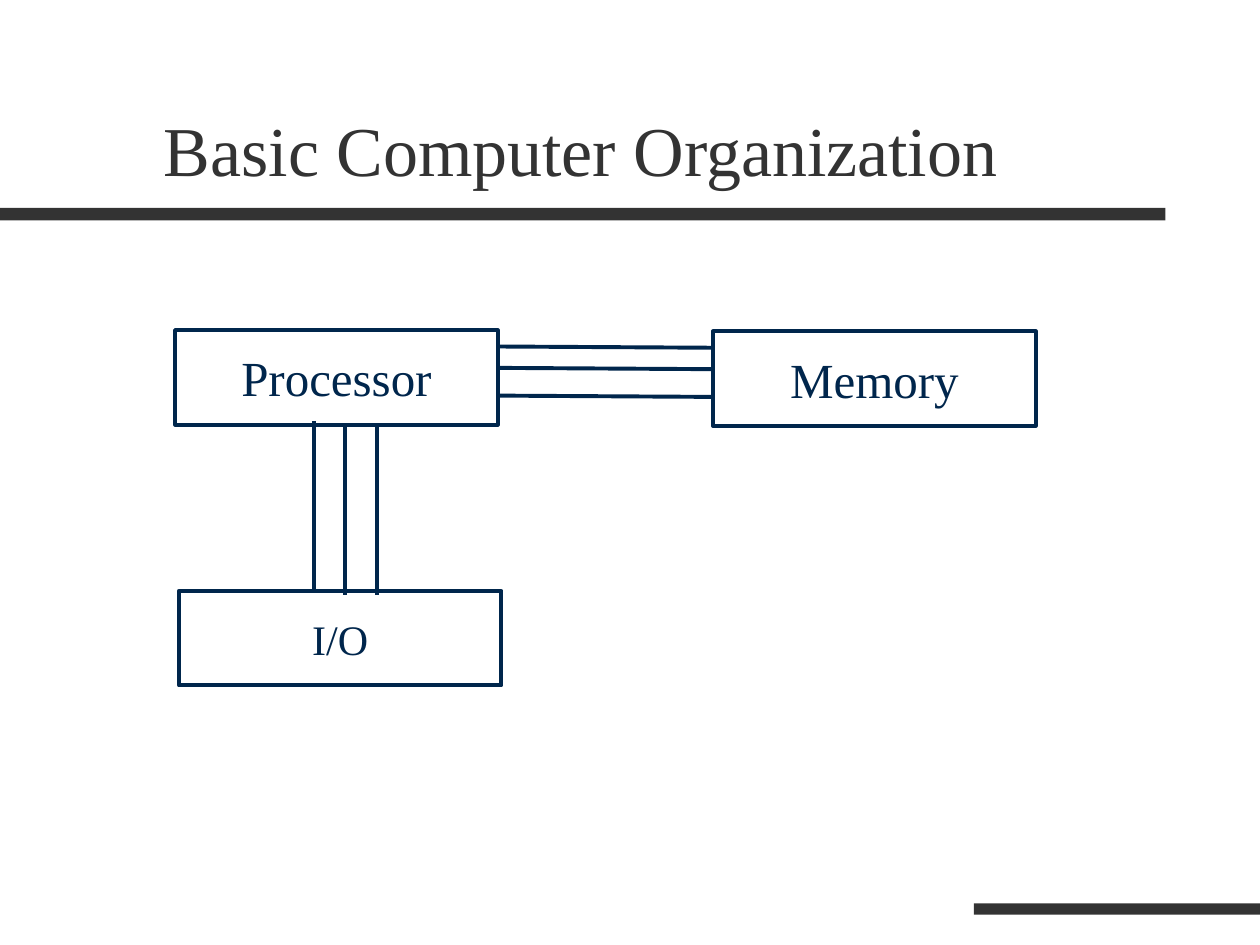
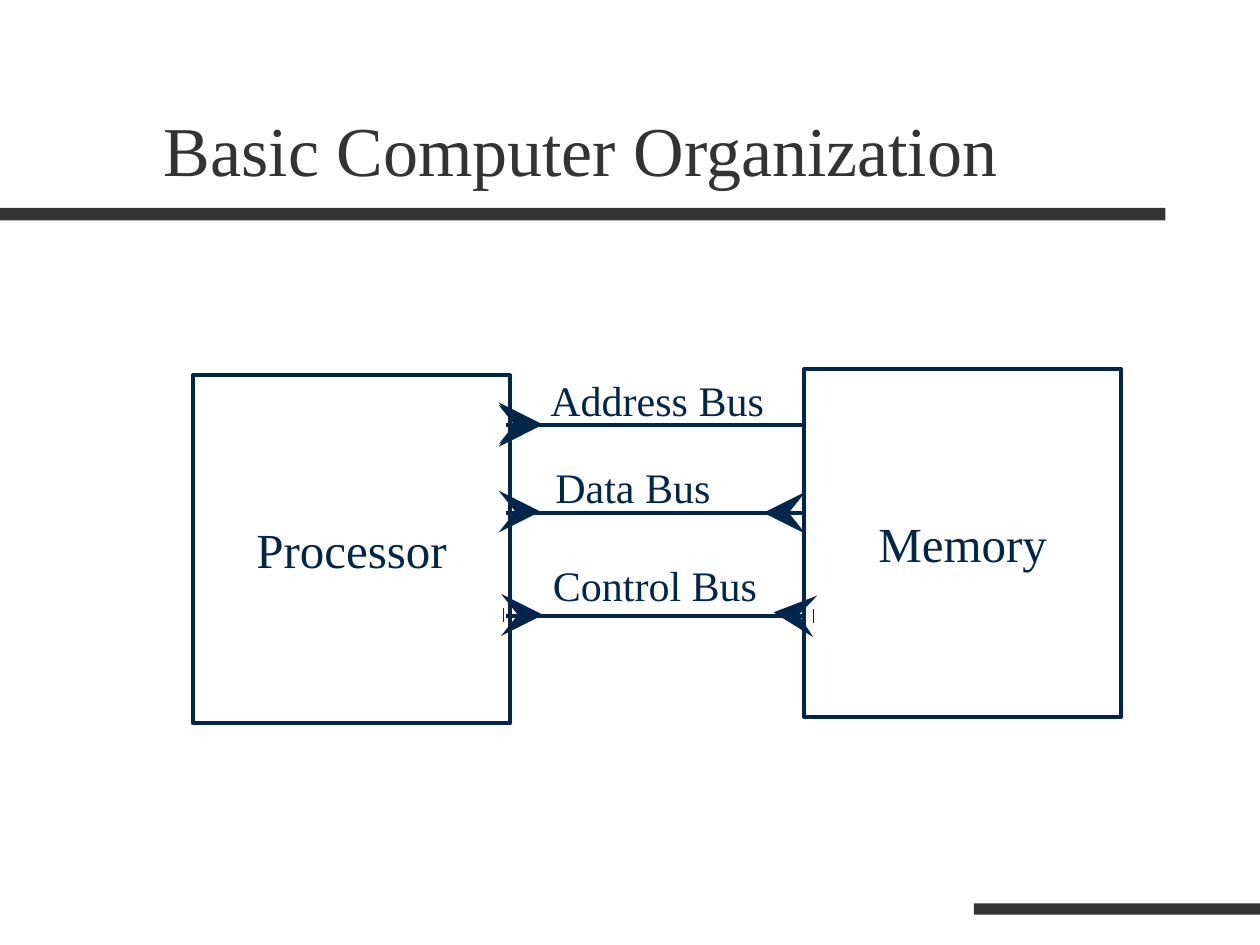
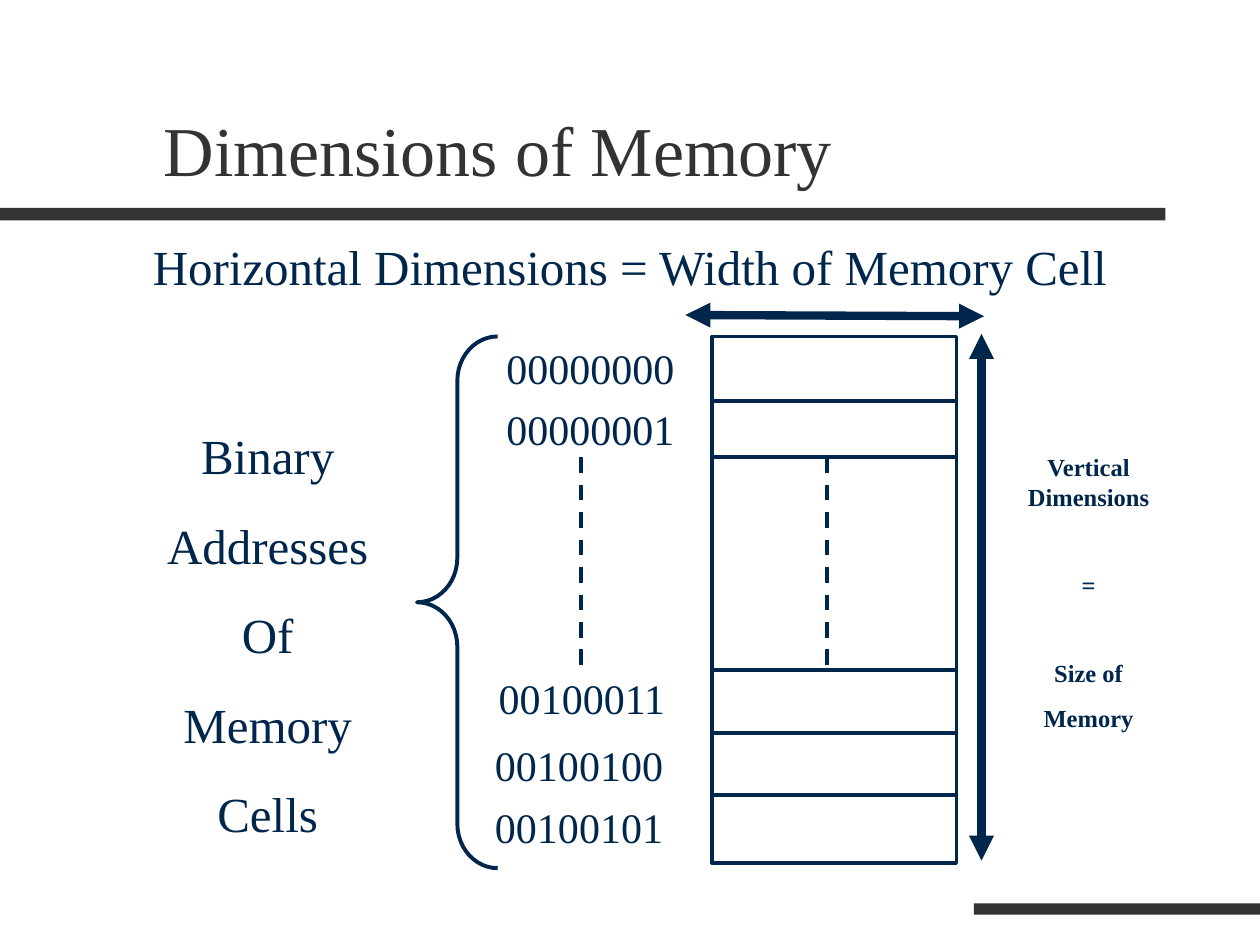
import lxml.etree
import pptx
import pptx.dml.color
import pptx.enum.dml
import pptx.enum.shapes
import pptx.enum.text
import pptx.oxml.ns
import pptx.util

Inches = pptx.util.Inches
Pt = pptx.util.Pt
RGBColor = pptx.dml.color.RGBColor
SHAPE = pptx.enum.shapes.MSO_SHAPE
ALIGN = pptx.enum.text.PP_ALIGN
ANCHOR = pptx.enum.text.MSO_ANCHOR
qn = pptx.oxml.ns.qn

NAVY = RGBColor(0x00, 0x26, 0x4C)
CHARCOAL = RGBColor(0x33, 0x33, 0x33)
FONT = "Times New Roman"
LINE_WIDTH = 2.25
BANDS = [(0, 1.65, 9.25, 0.1), (7.73, 7.17, 2.27, 0.09)]


def format_paragraph(p, size, color=NAVY, align=ALIGN.LEFT, bold=False):
    p.alignment = align
    for r in p.runs:
        r.font.name = FONT
        r.font.size = Pt(size)
        r.font.bold = bold
        r.font.color.rgb = color


def add_preset(s, shape_type, x, y, w, h, fill=None, width=LINE_WIDTH):
    sp = s.shapes.add_shape(shape_type, Inches(x), Inches(y), Inches(w), Inches(h))
    sp.shadow.inherit = False
    if fill is None:
        sp.fill.background()
        sp.line.color.rgb = NAVY
        sp.line.width = Pt(width)
    else:
        sp.fill.solid()
        sp.fill.fore_color.rgb = fill
        sp.line.fill.background()
    return sp


def add_unit(s, text, x, y, w, h, size=28):
    sp = add_preset(s, SHAPE.RECTANGLE, x, y, w, h)
    tf = sp.text_frame
    tf.text = text
    tf.word_wrap = False
    tf.vertical_anchor = ANCHOR.MIDDLE
    format_paragraph(tf.paragraphs[0], size, align=ALIGN.CENTER)


def add_text(s, lines, x, y, w, h, size=24, align=ALIGN.LEFT, bold=False, before=0):
    tf = s.shapes.add_textbox(Inches(x), Inches(y), Inches(w), Inches(h)).text_frame
    tf.word_wrap = True
    tf.text = "\n".join(lines)
    for p in tf.paragraphs:
        format_paragraph(p, size, align=align, bold=bold)
    for p in tf.paragraphs[1:]:
        p.space_before = Pt(before)
    return tf


def add_line(s, x1, y1, x2, y2, width=LINE_WIDTH, dashed=False, head=None, tail=None):
    cn = s.shapes.add_connector(
        pptx.enum.shapes.MSO_CONNECTOR.STRAIGHT,
        Inches(x1), Inches(y1), Inches(x2), Inches(y2))
    cn.line.color.rgb = NAVY
    cn.line.width = Pt(width)
    if dashed:
        cn.line.dash_style = pptx.enum.dml.MSO_LINE.DASH
    spPr = cn.element.spPr
    ln = spPr.find(qn("a:ln"))
    for tag, kind in (("a:headEnd", head), ("a:tailEnd", tail)):
        if kind:
            lxml.etree.SubElement(ln, qn(tag), type=kind)
    lxml.etree.SubElement(spPr, qn("a:effectLst"))


def add_double_arrow(s, x1, y1, x2, y2):
    add_line(s, x1, y1, x2, y2, width=4.75, head="triangle", tail="triangle")


def add_slide(prs, title):
    s = prs.slides.add_slide(prs.slide_layouts[5])
    for band in BANDS:
        add_preset(s, SHAPE.RECTANGLE, *band, fill=CHARCOAL)
    sp = s.shapes.title
    sp.left, sp.top = Inches(1.2), Inches(0.31)
    sp.width, sp.height = Inches(8.5), Inches(1.25)
    tf = sp.text_frame
    tf.text = title
    tf.vertical_anchor = ANCHOR.BOTTOM
    format_paragraph(tf.paragraphs[0], 40, color=CHARCOAL)
    return s


def build_organization(prs):
    s = add_slide(prs, "Basic Computer Organization")
    w, h = 2.56, 0.75
    add_unit(s, "Processor", 1.39, 2.62, w, h)
    add_unit(s, "I/O", 1.42, 4.69, w, h, size=24)
    add_unit(s, "Memory", 5.66, 2.63, w, h)
    for y in (2.76, 2.93, 3.15):
        add_line(s, 5.65, y, 3.96, y - 0.01)
    for x, top, bottom in ((2.49, 3.34, 4.69), (2.74, 3.36, 4.72), (2.99, 3.37, 4.72)):
        add_line(s, x, top, x, bottom)


def build_buses(prs):
    s = add_slide(prs, "Basic Computer Organization")
    w, h = 2.52, 2.76
    add_unit(s, "Memory", 6.38, 2.93, w, h)
    add_unit(s, "Processor", 1.53, 2.98, w, h)
    buses = [("Address Bus", 4.27, 2.92, 3.37),
             ("Data Bus", 4.31, 3.61, 4.07),
             ("Control Bus", 4.29, 4.39, 4.89)]
    for name, x, y, line_y in buses:
        add_line(s, 6.38, line_y, 4.02, line_y)
        add_text(s, [name], x, y, 2, 0.5)
    arrows = [(3.98, 3.38, 4.29, 3.38), (3.98, 3.36, 4.29, 3.36),
              (3.98, 4.06, 4.29, 4.06), (6.28, 4.07, 6.06, 4.07),
              (3.99, 4.88, 4.31, 4.88), (6.45, 4.89, 6.14, 4.86)]
    for arrow in arrows:
        add_line(s, *arrow, width=8, tail="stealth")


def build_dimensions(prs):
    s = add_slide(prs, "Dimensions of Memory")
    add_text(s, ["Horizontal Dimensions = Width of Memory Cell"],
             0.75, 1.83, 8.5, 0.6, size=28, align=ALIGN.CENTER)

    left, top, w, h = 5.65, 2.67, 1.94, 4.18
    add_preset(s, SHAPE.RECTANGLE, left, top, w, h, width=2)
    for y in (3.18, 3.63, 5.32, 5.82, 6.31):
        add_line(s, left, y, left + w, y)
    for x in (4.61, 6.56):
        add_line(s, x, 3.63, x, 5.32, dashed=True)
    add_double_arrow(s, 5.44, 2.5, 7.81, 2.51)
    add_double_arrow(s, 7.79, 2.65, 7.79, 6.83)

    addresses = [("00000000", 3.92, 2.67), ("00000001", 3.92, 3.15),
                 ("00100011", 3.86, 5.29), ("00100100", 3.83, 5.82),
                 ("00100101", 3.83, 6.31)]
    for address, x, y in addresses:
        add_text(s, [address], x, y, 1.68, 0.5)

    brace = add_preset(s, SHAPE.LEFT_BRACE, 3.31, top, 0.64, 4.22)
    brace.adjustments[0] = 0.55
    brace.adjustments[1] = 0.5
    add_text(s, ["Binary", "Addresses", "Of", "Memory", "Cells"],
             1.11, 3.33, 2.03, 3.41, size=28, align=ALIGN.CENTER, before=17.5)

    tf = add_text(s, ["Vertical Dimensions", "=", "Size of", "Memory"],
                  8.01, 3.54, 1.26, 2.37, size=14, align=ALIGN.CENTER,
                  bold=True, before=8.8)
    for p in tf.paragraphs[1:3]:
        p.space_before = Pt(33.7)


def main():
    prs = pptx.Presentation()
    prs.slide_width, prs.slide_height = Inches(10), Inches(7.5)
    build_organization(prs)
    build_buses(prs)
    build_dimensions(prs)
    prs.save("out.pptx")


if __name__ == "__main__":
    main()
